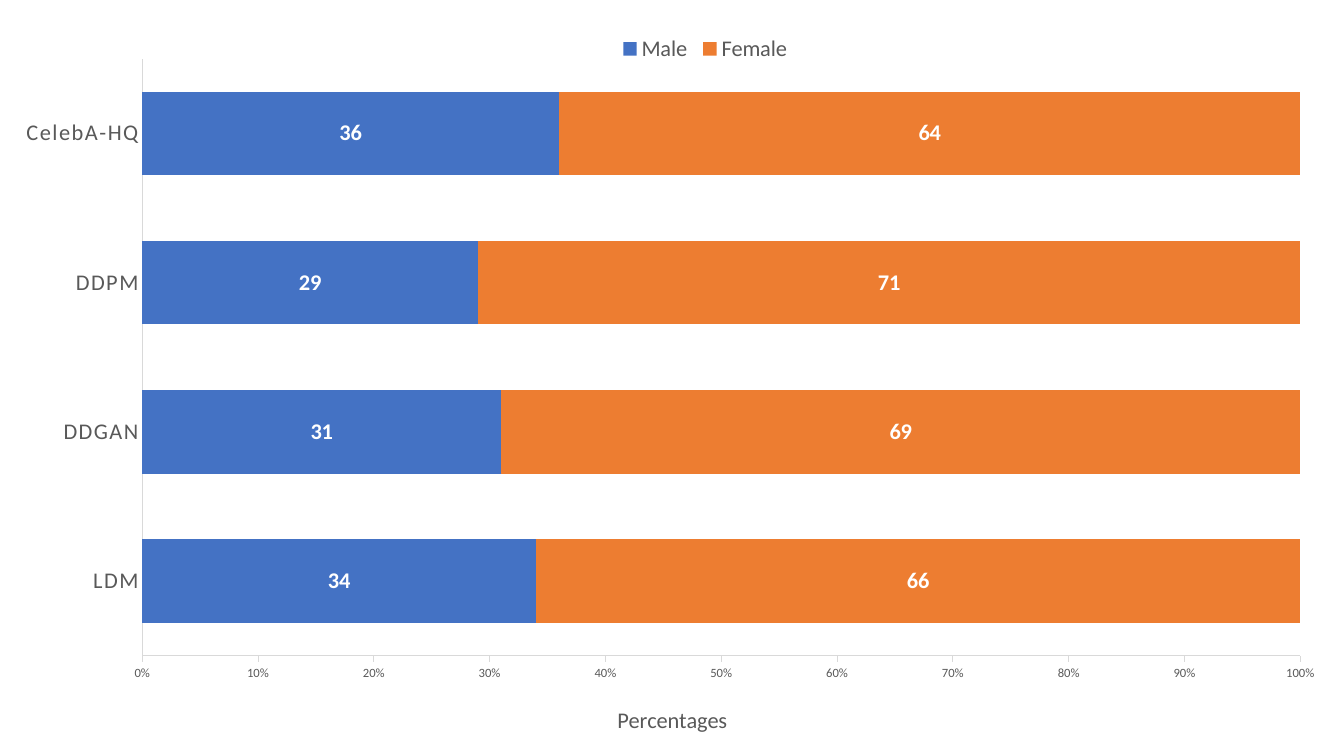
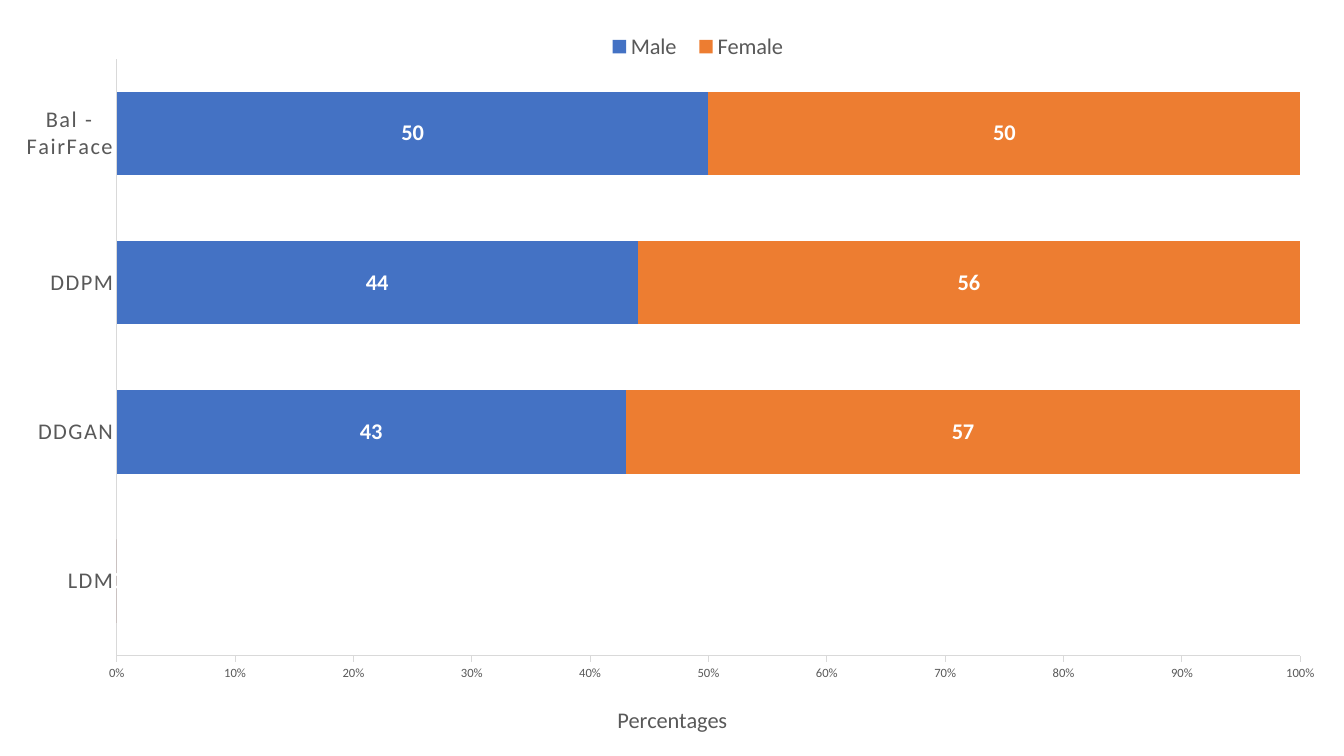
from dataclasses import dataclass

from lxml import etree
from pptx import Presentation
from pptx import util as u
from pptx.chart import data as chart_data
from pptx.dml.color import RGBColor
from pptx.enum import chart as ce
from pptx.oxml import ns

COLORS = {
    "Male": "4472C4",
    "Female": "ED7D31",
    "text": "595959",
    "axis": "D9D9D9",
    "label": "FFFFFF",
}
FONT = "Calibri"
LETTER_SPACING = "120"


@dataclass(frozen=True)
class Box:
    x: float
    y: float
    w: float | None = None
    h: float | None = None


@dataclass(frozen=True)
class GenderSplit:
    models: tuple[str, ...]
    male: tuple[int, ...]
    female: tuple[int, ...]
    plot: Box
    legend: Box


AXIS_TITLE = Box(0.457, 0.93)
SPLITS = (
    GenderSplit(
        ("LDM", "DDGAN", "DDPM", "CelebA-HQ"),
        (34, 31, 29, 36),
        (66, 69, 71, 64),
        Box(0.106, 0.078, 0.863, 0.792),
        Box(0.458, 0.04, 0.135, 0.05),
    ),
    GenderSplit(
        ("LDM", "DDGAN", "DDPM", "Bal - FairFace"),
        (0, 43, 44, 50),
        (0, 57, 56, 50),
        Box(0.087, 0.078, 0.882, 0.792),
        Box(0.445, 0.037, 0.15, 0.05),
    ),
)


def style_font(font, size: float, color: str = "text", bold: bool = False) -> None:
    font.name = FONT
    font.size = u.Pt(size)
    font.bold = bold
    font.color.rgb = RGBColor.from_string(COLORS[color])


def write_text(frame, text: str, **font_format) -> None:
    paragraph = frame.paragraphs[0]
    run = paragraph.add_run()
    run.text = text
    style_font(run.font, **font_format)


def place(element, box: Box, inner: bool = False) -> None:
    for old_layout in element.findall(ns.qn("c:layout")):
        element.remove(old_layout)
    layout = etree.Element(ns.qn("c:layout"))
    manual = etree.SubElement(layout, ns.qn("c:manualLayout"))
    settings = [("layoutTarget", "inner")] if inner else []
    settings += [("xMode", "edge"), ("yMode", "edge")]
    sizes = (("x", box.x), ("y", box.y), ("w", box.w), ("h", box.h))
    settings += [(tag, str(size)) for tag, size in sizes if size is not None]
    for tag, value in settings:
        etree.SubElement(manual, ns.qn(f"c:{tag}")).set("val", value)
    overlay = element.find(ns.qn("c:overlay"))
    if overlay is None:
        element.insert(0, layout)
    else:
        overlay.addprevious(layout)


def style_axis(axis, size: float, tick: ce.XL_TICK_MARK) -> None:
    axis.has_major_gridlines = False
    axis.major_tick_mark = tick
    axis.minor_tick_mark = ce.XL_TICK_MARK.NONE
    axis.format.line.color.rgb = RGBColor.from_string(COLORS["axis"])
    axis.format.line.width = u.Pt(0.75)
    style_font(axis.tick_labels.font, size)


def style_series(series) -> None:
    series.format.fill.solid()
    series.format.fill.fore_color.rgb = RGBColor.from_string(COLORS[series.name])
    series.format.line.fill.background()
    labels = series.data_labels
    labels.show_value = True
    labels.position = ce.XL_LABEL_POSITION.CENTER
    style_font(labels.font, 16, "label", bold=True)


def add_split_chart(slide, split: GenderSplit) -> None:
    data = chart_data.CategoryChartData()
    data.categories = split.models
    data.add_series("Male", split.male)
    data.add_series("Female", split.female)
    chart = slide.shapes.add_chart(
        ce.XL_CHART_TYPE.BAR_STACKED_100, 0, 0, u.Inches(13.31), u.Inches(7.48), data
    ).chart
    chart.has_title = False
    chart.font.name = FONT
    chart.font.size = u.Pt(10)

    bars = chart.plots[0]
    bars.vary_by_categories = False
    bars.gap_width = 79
    bars.overlap = 100
    for series in bars.series:
        style_series(series)
    place(chart._chartSpace.chart.plotArea, split.plot, inner=True)

    models = chart.category_axis
    style_axis(models, 16, ce.XL_TICK_MARK.NONE)
    models._element.find(f".//{ns.qn('a:defRPr')}").set("spc", LETTER_SPACING)

    percentages = chart.value_axis
    style_axis(percentages, 9, ce.XL_TICK_MARK.OUTSIDE)
    percentages.tick_labels.number_format = "0%"
    percentages.tick_labels.number_format_is_linked = False
    percentages.has_title = True
    write_text(percentages.axis_title.text_frame, "Percentages", size=16)
    place(percentages.axis_title._element, AXIS_TITLE)

    chart.has_legend = True
    chart.legend.position = ce.XL_LEGEND_POSITION.TOP
    chart.legend.include_in_layout = False
    style_font(chart.legend.font, 16)
    place(chart.legend._element, split.legend)


def main() -> None:
    deck = Presentation()
    deck.slide_width = u.Inches(13.33)
    deck.slide_height = u.Inches(7.5)
    for split in SPLITS:
        add_split_chart(deck.slides.add_slide(deck.slide_layouts[6]), split)
    deck.save("out.pptx")


if __name__ == "__main__":
    main()
